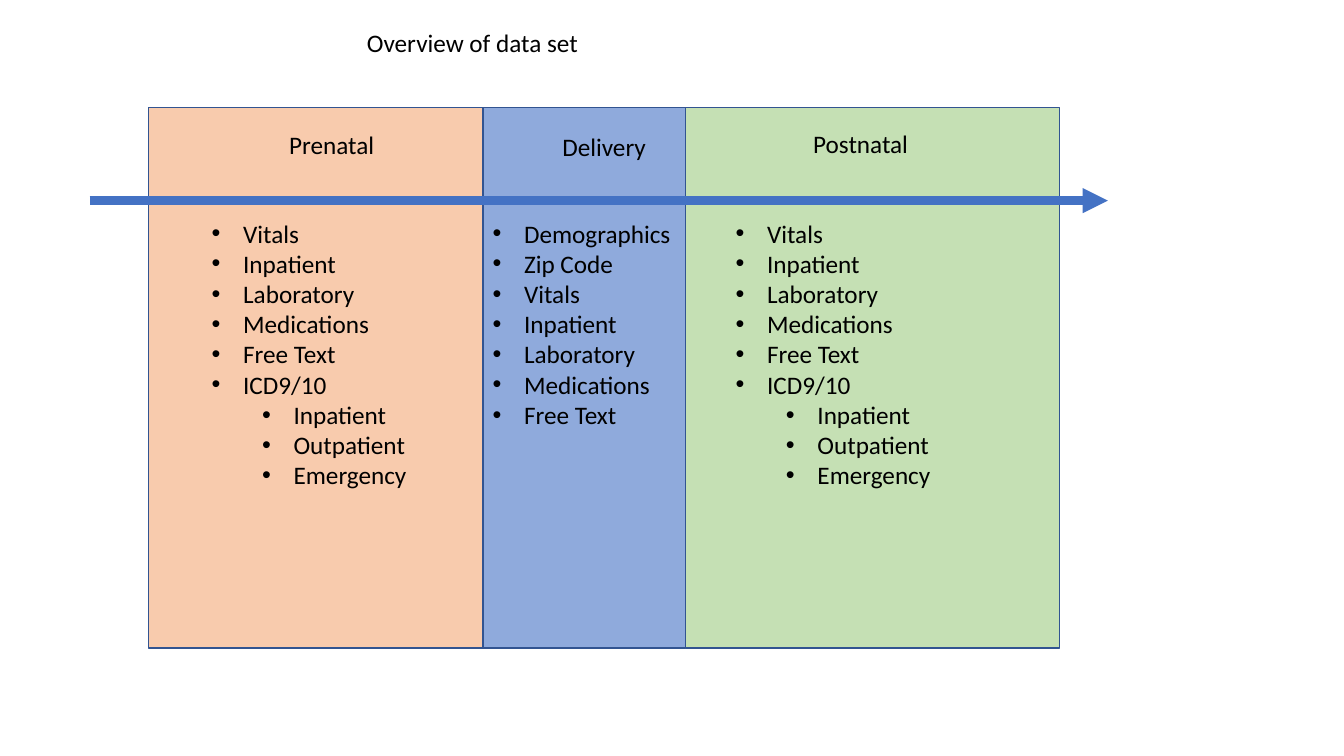
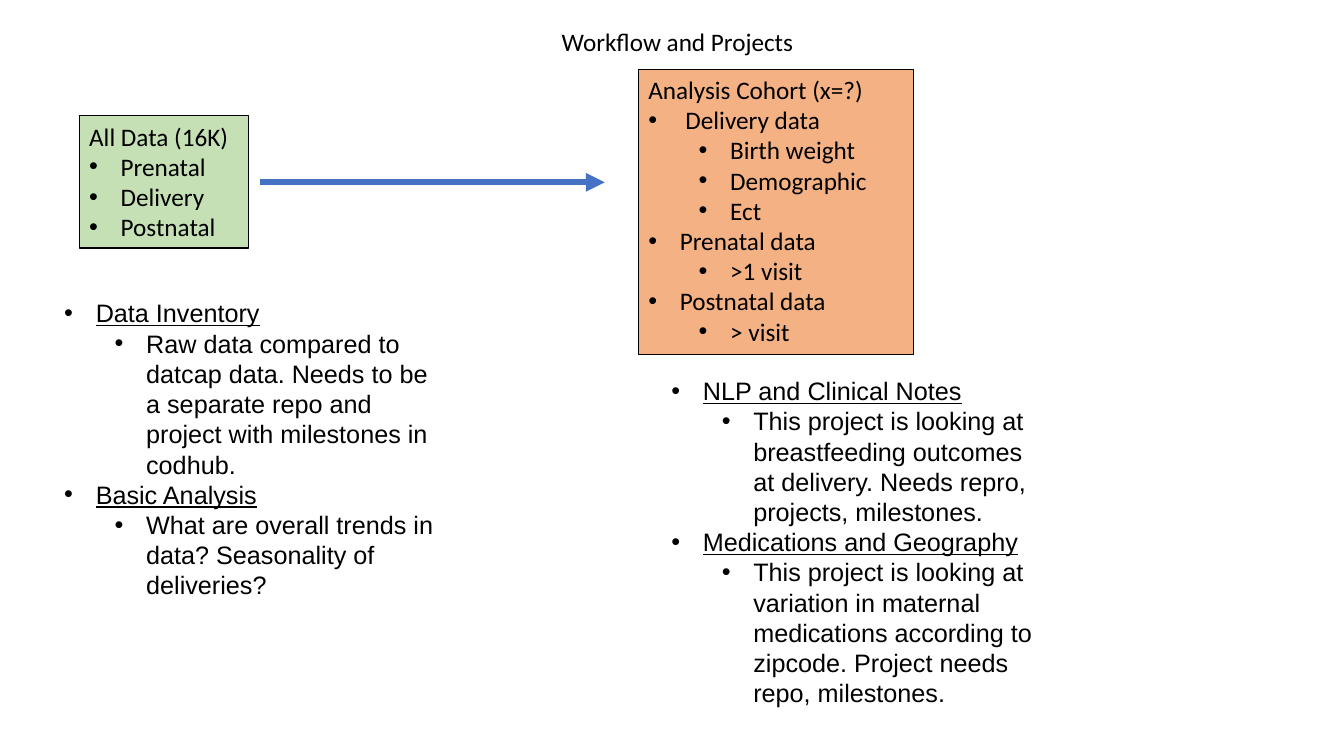
"""Build two slides: the data set overview, and the workflow with its projects."""
from dataclasses import dataclass

from lxml import etree
from pptx import Presentation, util as u
from pptx.dml.color import RGBColor
from pptx.enum import shapes, text
from pptx.oxml.ns import qn

Pt = u.Pt
BLACK, BLUE, PANEL_EDGE = "000000", "4472C4", "325491"
PEACH, PERIWINKLE, GREEN, ORANGE = "F8CBAD", "8FAADC", "C5E0B4", "F4B183"
TEXT_SIZE = 18
HANGING = 22.5
LEVEL_STEP = 36
LABEL_HEIGHT = 29
LEFT, CENTER = text.PP_ALIGN.LEFT, text.PP_ALIGN.CENTER


@dataclass(frozen=True)
class Box:
    """Left, top, width and height in points."""
    left: float
    top: float
    width: float
    height: float


@dataclass(frozen=True)
class Line:
    """One paragraph; level None means that it has no bullet."""
    words: str
    level: int | None = 0
    underline: bool = False


@dataclass(frozen=True)
class Stage:
    """A coloured column of the timeline with its label and its list."""
    name: str
    fill: str
    left: float
    right: float
    label: Box
    list_box: Box
    items: list[Line]


@dataclass(frozen=True)
class DataBox:
    """A filled box that names a group of data."""
    box: Box
    fill: str
    lines: list[Line]


@dataclass(frozen=True)
class ProjectList:
    """Underlined project names, each followed by its description."""
    box: Box
    projects: dict[str, str]


def rgb(value: str) -> RGBColor:
    """Turn a hex string into a colour."""
    return RGBColor.from_string(value)


def place(sp, box: Box) -> None:
    """Move and size a shape."""
    sp.left, sp.top = Pt(box.left), Pt(box.top)
    sp.width, sp.height = Pt(box.width), Pt(box.height)


def set_bullet(p, level: int | None) -> None:
    """Give a paragraph the hanging bullet of its level, or none."""
    p_pr = p._p.get_or_add_pPr()
    if level is None:
        p_pr.set("marL", "0")
        p_pr.set("indent", "0")
        etree.SubElement(p_pr, qn("a:buNone"))
        return
    p.level = level
    p_pr.set("marL", str(Pt(HANGING + LEVEL_STEP * level)))
    p_pr.set("indent", str(-Pt(HANGING)))
    etree.SubElement(p_pr, qn("a:buFont")).set("typeface", "Arial")
    etree.SubElement(p_pr, qn("a:buChar")).set("char", "•")


def write(sp, lines: list[Line], font: str = "Calibri", align=LEFT) -> None:
    """Fill a shape with paragraphs in the common text style."""
    tf = sp.text_frame
    tf.word_wrap = True
    tf.auto_size = text.MSO_AUTO_SIZE.SHAPE_TO_FIT_TEXT
    tf.vertical_anchor = text.MSO_ANCHOR.TOP
    tf.margin_left = tf.margin_right = Pt(7.2)
    tf.margin_top = tf.margin_bottom = Pt(3.6)
    for i, line in enumerate(lines):
        p = tf.add_paragraph() if i else tf.paragraphs[0]
        p.alignment = align
        p.space_before = p.space_after = Pt(0)
        p.line_spacing = 1.0
        set_bullet(p, line.level)
        r = p.add_run()
        r.text = line.words
        r.font.name, r.font.size = font, Pt(TEXT_SIZE)
        r.font.bold, r.font.underline = False, line.underline
        r.font.color.rgb = rgb(BLACK)


def fill_placeholder(s, sp, box: Box, lines: list[Line],
                     font: str = "Calibri", align=LEFT) -> None:
    """Place a template placeholder in front of the drawing and fill it."""
    s.shapes.element.append(sp.element)
    place(sp, box)
    write(sp, lines, font, align)


def add_title(s, words: str, box: Box, align=LEFT) -> None:
    """Fill the title placeholder."""
    fill_placeholder(s, s.shapes.title, box, [Line(words, None)], align=align)


def body_placeholders(s) -> list:
    """Return the empty body placeholders of a slide."""
    return [sp for sp in s.placeholders if 0 < sp.placeholder_format.idx < 10]


def remove_empty(s) -> None:
    """Remove the placeholders that hold no text."""
    for sp in list(s.placeholders):
        if not sp.text_frame.text:
            s.shapes.element.remove(sp.element)


def add_rect(s, box: Box, fill: str, line: str, weight: float):
    """Add a flat outlined rectangle."""
    sp = s.shapes.add_shape(shapes.MSO_SHAPE.RECTANGLE, 0, 0, 0, 0)
    place(sp, box)
    sp.shadow.inherit = False
    sp.fill.solid()
    sp.fill.fore_color.rgb = rgb(fill)
    sp.line.color.rgb = rgb(line)
    sp.line.width = Pt(weight)
    return sp


def add_arrow(s, left: float, right: float, y: float, weight: float) -> None:
    """Add a horizontal arrow that points right."""
    arrow = s.shapes.add_connector(
        shapes.MSO_CONNECTOR.STRAIGHT, Pt(left), Pt(y), Pt(right), Pt(y))
    arrow.line.color.rgb = rgb(BLUE)
    arrow.line.width = Pt(weight)
    etree.SubElement(arrow.line._get_or_add_ln(), qn("a:tailEnd")).set("type", "triangle")
    etree.SubElement(arrow.element.spPr, qn("a:effectLst"))


def add_label(s, words: str, box: Box) -> None:
    """Add a short text box."""
    sp = s.shapes.add_textbox(0, 0, 0, 0)
    place(sp, box)
    write(sp, [Line(words, None)])


RECORDS = [Line(w) for w in
           ("Vitals", "Inpatient", "Laboratory", "Medications", "Free Text")]
VISIT_RECORDS = RECORDS + [Line("ICD9/10")] + [
    Line(w, 1) for w in ("Inpatient", "Outpatient", "Emergency")]
DELIVERY_RECORDS = [Line("Demographics"), Line("Zip Code")] + RECORDS
LIST_TOP, LIST_HEIGHT = 152, 225

STAGES = [
    Stage("Prenatal", PEACH, 106, 345, Box(199.5, 88.5, 80, LABEL_HEIGHT),
          Box(144, LIST_TOP, 173, LIST_HEIGHT), VISIT_RECORDS),
    Stage("Delivery", PERIWINKLE, 345, 489.6, Box(394.6, 90.5, 80, LABEL_HEIGHT),
          Box(344.6, LIST_TOP, 145, 160), DELIVERY_RECORDS),
    Stage("Postnatal", GREEN, 489.6, 756.7, Box(573.8, 88.2, 103, LABEL_HEIGHT),
          Box(518.2, LIST_TOP, 173, LIST_HEIGHT), VISIT_RECORDS),
]

DATA_BOXES = [
    DataBox(Box(56.6, 82.8, 121, 94.4), GREEN, [
        Line("All Data (16K)", None),
        Line("Prenatal"), Line("Delivery"), Line("Postnatal")]),
    DataBox(Box(456, 49.4, 196.6, 203.8), ORANGE, [
        Line("Analysis Cohort (x=?)", None),
        Line(" Delivery data"),
        Line("Birth weight", 1), Line("Demographic", 1), Line("Ect", 1),
        Line("Prenatal data"), Line(">1 visit", 1),
        Line("Postnatal data"), Line("> visit", 1)]),
]

PROJECT_LISTS = [
    ProjectList(Box(38.7, 209, 282.2, 247), {
        "Data Inventory":
            "Raw data compared to datcap data. Needs to be a separate repo "
            "and project with milestones in codhub.",
        "Basic Analysis":
            "What are overall trends in data? Seasonality of deliveries?"}),
    ProjectList(Box(472.4, 264.5, 282.2, 269), {
        "NLP and Clinical Notes":
            "This project is looking at breastfeeding outcomes at delivery. "
            "Needs repro, projects, milestones.",
        "Medications and Geography":
            "This project is looking at variation in maternal medications "
            "according to zipcode. Project needs repo, milestones."}),
]


def build_overview(prs) -> None:
    """Draw the three stages along the time arrow."""
    s = prs.slides.add_slide(prs.slide_layouts.get_by_name("Comparison"))
    for stage in STAGES:
        panel = Box(stage.left, 77, stage.right - stage.left, 386)
        add_rect(s, panel, stage.fill, PANEL_EDGE, 1)
    add_arrow(s, 64, 791.3, 143.3, 6)
    add_title(s, "Overview of data set", Box(254.9, 15.8, 490.3, LABEL_HEIGHT))
    for stage, sp in zip(STAGES, body_placeholders(s)):
        add_label(s, stage.name, stage.label)
        fill_placeholder(s, sp, stage.list_box, stage.items)
    remove_empty(s)


def build_workflow(prs) -> None:
    """Draw the data boxes and list the projects that use them."""
    s = prs.slides.add_slide(prs.slide_layouts.get_by_name("Two Content"))
    for data in DATA_BOXES:
        write(add_rect(s, data.box, data.fill, BLACK, 0.75), data.lines)
    add_title(s, "Workflow and Projects", Box(171.4, 15, 625, LABEL_HEIGHT), CENTER)
    for group, sp in zip(PROJECT_LISTS, body_placeholders(s)):
        lines = [line for name, goal in group.projects.items()
                 for line in (Line(name, underline=True), Line(goal, 1))]
        fill_placeholder(s, sp, group.box, lines, "Arial")
    add_arrow(s, 185.8, 432, 130.2, 4.5)
    remove_empty(s)


def main() -> None:
    """Build and save the presentation."""
    prs = Presentation()
    prs.slide_width, prs.slide_height = Pt(960), Pt(540)
    build_overview(prs)
    build_workflow(prs)
    prs.save("out.pptx")


main()
